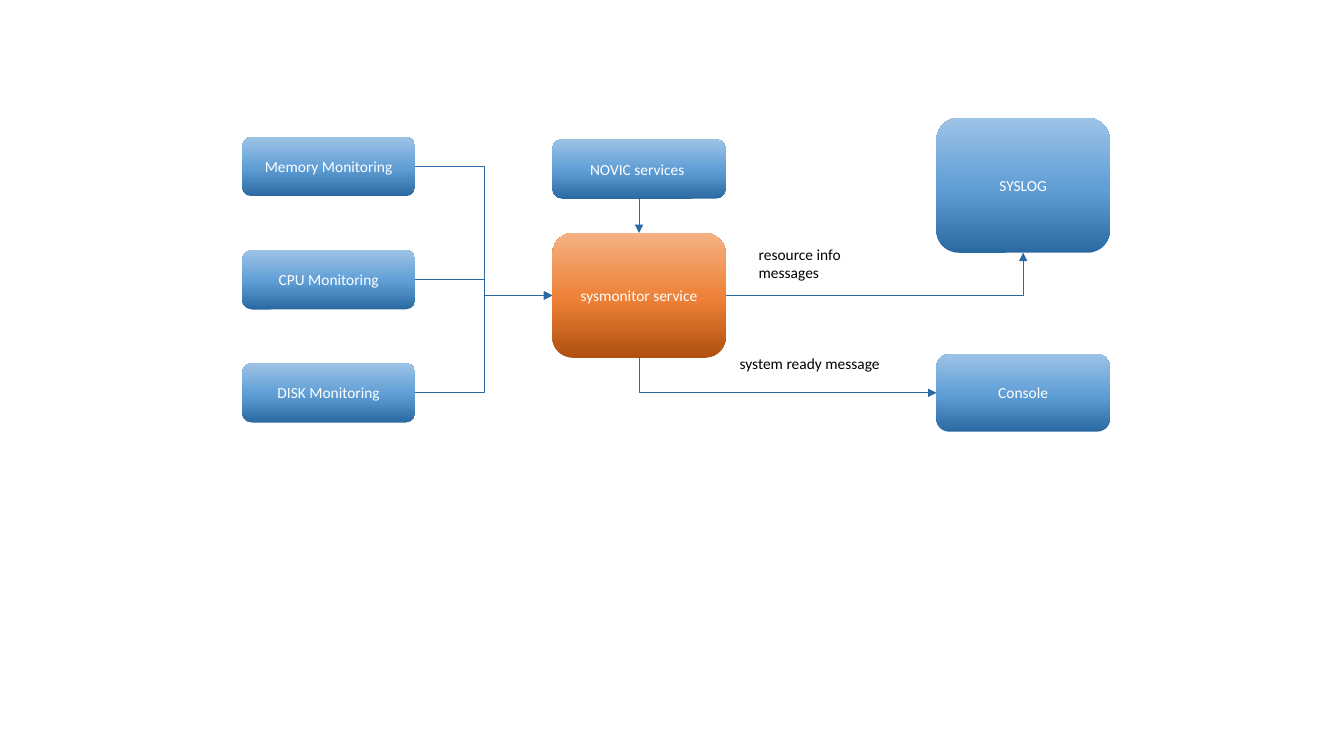
from copy import deepcopy
from dataclasses import dataclass

from lxml.etree import SubElement
from pptx import Presentation
from pptx.dml.color import RGBColor
from pptx.enum.shapes import MSO_CONNECTOR, MSO_SHAPE
from pptx.enum.text import MSO_ANCHOR, PP_ALIGN
from pptx.oxml.ns import qn
from pptx.shapes.autoshape import Shape
from pptx.shapes.connector import Connector
from pptx.text.text import TextFrame
from pptx.util import Cm, Pt

WHITE = RGBColor(0xFF, 0xFF, 0xFF)
BLACK = RGBColor(0, 0, 0)
DARK_BLUE = RGBColor(0x2A, 0x69, 0xA2)
BLUES = (DARK_BLUE, RGBColor(0x60, 0x9E, 0xD6), RGBColor(0x9D, 0xC3, 0xE6))
ORANGES = (RGBColor(0xB0, 0x50, 0x0F), RGBColor(0xEE, 0x81, 0x37), RGBColor(0xF4, 0xB1, 0x83))
GRADIENT_POSITIONS = (0, 0.48, 1)

MONITOR_X, SERVICE_X, OUTPUT_X = 6.1, 13.92, 23.6
NODE_WIDTH, SMALL_HEIGHT = 4.37, 1.5
MONITOR_TOP, MONITOR_PITCH = 3.45, 2.85
TOP, LEFT, BOTTOM, RIGHT = range(4)


@dataclass(frozen=True)
class Node:
    """A rounded box of the diagram, lengths in centimetres."""
    text: str
    left: float
    top: float
    height: float = SMALL_HEIGHT
    shades: tuple[RGBColor, ...] = BLUES


@dataclass(frozen=True)
class Message:
    """A caption beside an arrow, lengths in centimetres."""
    text: str
    left: float
    top: float
    height: float


MONITORS = [
    Node(f"{resource} Monitoring", MONITOR_X, MONITOR_TOP + row * MONITOR_PITCH)
    for row, resource in enumerate(("Memory", "CPU", "DISK"))
]
SYSMONITOR = Node("sysmonitor service", SERVICE_X, 5.87, 3.15, ORANGES)
SERVICES = Node("NOVIC services ", SERVICE_X, 3.51)
SYSLOG = Node("SYSLOG", OUTPUT_X, 2.97, 3.4)
CONSOLE = Node("Console", OUTPUT_X, 8.92, 1.96)
MESSAGES = (
    Message("system ready message ", 18.39, 8.79, 0.74),
    Message("resource info messages", 18.87, 6.05, 1.19),
)

presentation = Presentation()
presentation.slide_width, presentation.slide_height = Cm(33.87), Cm(19.05)
slide = presentation.slides.add_slide(presentation.slide_layouts[6])


def write(frame: TextFrame, text: str, color: RGBColor) -> None:
    """Put one wrapped paragraph in the frame and format it."""
    frame.text = text
    frame.word_wrap = True
    font = frame.paragraphs[0].runs[0].font
    font.name, font.size, font.color.rgb = "Calibri", Pt(11), color


def draw_node(node: Node) -> Shape:
    """Draw a gradient box with centred text."""
    box = slide.shapes.add_shape(
        MSO_SHAPE.ROUNDED_RECTANGLE,
        Cm(node.left), Cm(node.top), Cm(NODE_WIDTH), Cm(node.height))
    box.shadow.inherit = False
    box.line.fill.background()
    box.fill.gradient()
    box.fill.gradient_angle = 90
    first_stop = next(box.element.iter(qn("a:gs")))
    first_stop.addnext(deepcopy(first_stop))
    for stop, position, shade in zip(box.fill.gradient_stops, GRADIENT_POSITIONS, node.shades):
        stop.position, stop.color.rgb = position, shade
    write(box.text_frame, node.text, WHITE)
    box.text_frame.vertical_anchor = MSO_ANCHOR.MIDDLE
    box.text_frame.paragraphs[0].alignment = PP_ALIGN.CENTER
    return box


def draw_arrow(source: Shape, source_side: int, target: Shape, target_side: int,
               kind: MSO_CONNECTOR = MSO_CONNECTOR.ELBOW) -> Connector:
    """Join two boxes with an arrow that points at the target."""
    arrow = slide.shapes.add_connector(kind, 0, 0, 0, 0)
    arrow.begin_connect(source, source_side)
    arrow.end_connect(target, target_side)
    arrow.line.color.rgb, arrow.line.width = DARK_BLUE, Pt(0.5)
    properties = arrow.element.spPr
    SubElement(properties.find(qn("a:ln")), qn("a:tailEnd"), type="triangle")
    SubElement(properties, qn("a:effectLst"))
    return arrow


def bend_once(arrow: Connector) -> None:
    """Give an elbow arrow a single corner."""
    arrow.element.spPr.find(qn("a:prstGeom")).set("prst", "bentConnector2")


def start_downwards(arrow: Connector) -> None:
    """Turn a single-corner arrow so that it leaves down, then runs right."""
    width, height = arrow.width, arrow.height
    arrow.left += (width - height) // 2
    arrow.top += (height - width) // 2
    arrow.width, arrow.height = height, width
    transform = arrow.element.spPr.find(qn("a:xfrm"))
    transform.set("rot", str(270 * 60000))
    transform.set("flipH", "1")


def draw_message(message: Message) -> None:
    """Draw a caption."""
    caption = slide.shapes.add_textbox(
        Cm(message.left), Cm(message.top), Cm(4.09), Cm(message.height))
    write(caption.text_frame, message.text, BLACK)


sysmonitor = draw_node(SYSMONITOR)
for monitor in MONITORS:
    draw_arrow(draw_node(monitor), RIGHT, sysmonitor, LEFT)
draw_arrow(draw_node(SERVICES), BOTTOM, sysmonitor, TOP, MSO_CONNECTOR.STRAIGHT)
bend_once(draw_arrow(sysmonitor, RIGHT, draw_node(SYSLOG), BOTTOM))
console_arrow = draw_arrow(sysmonitor, BOTTOM, draw_node(CONSOLE), LEFT)
bend_once(console_arrow)
start_downwards(console_arrow)
for message in MESSAGES:
    draw_message(message)

presentation.save("out.pptx")
